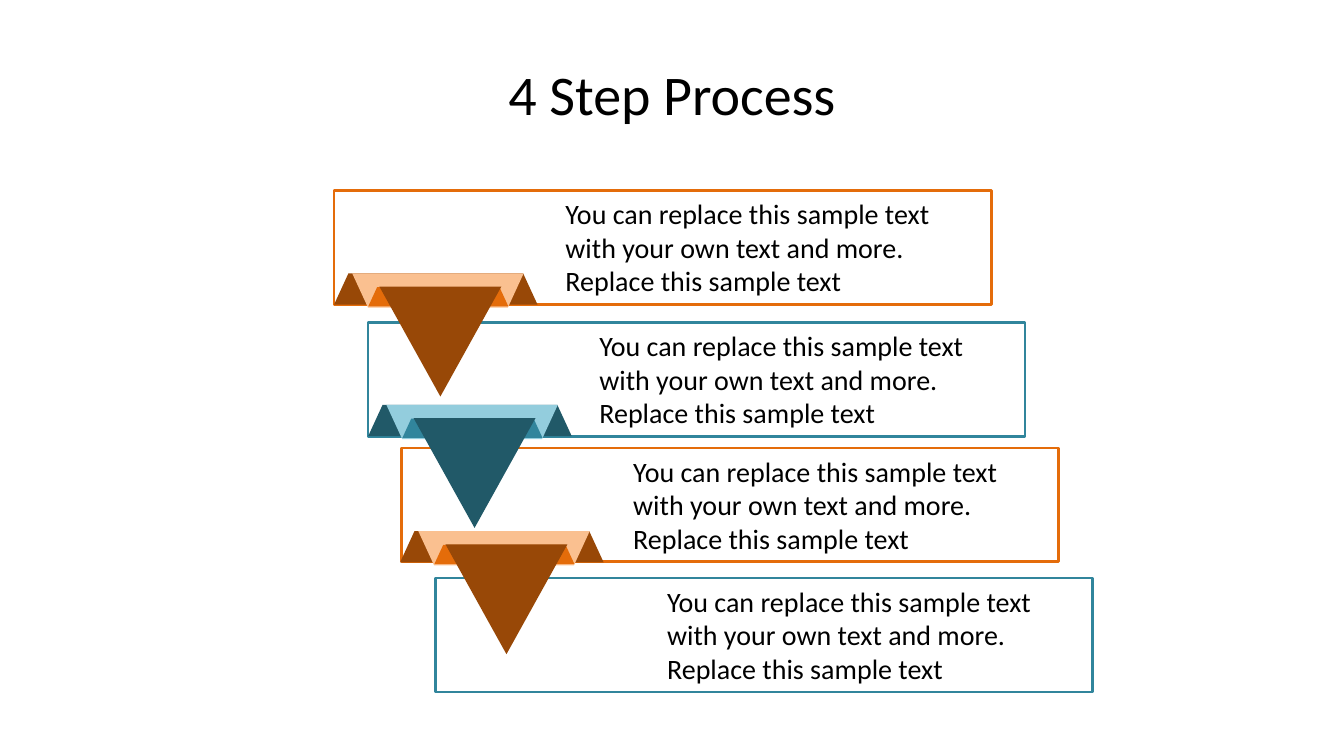
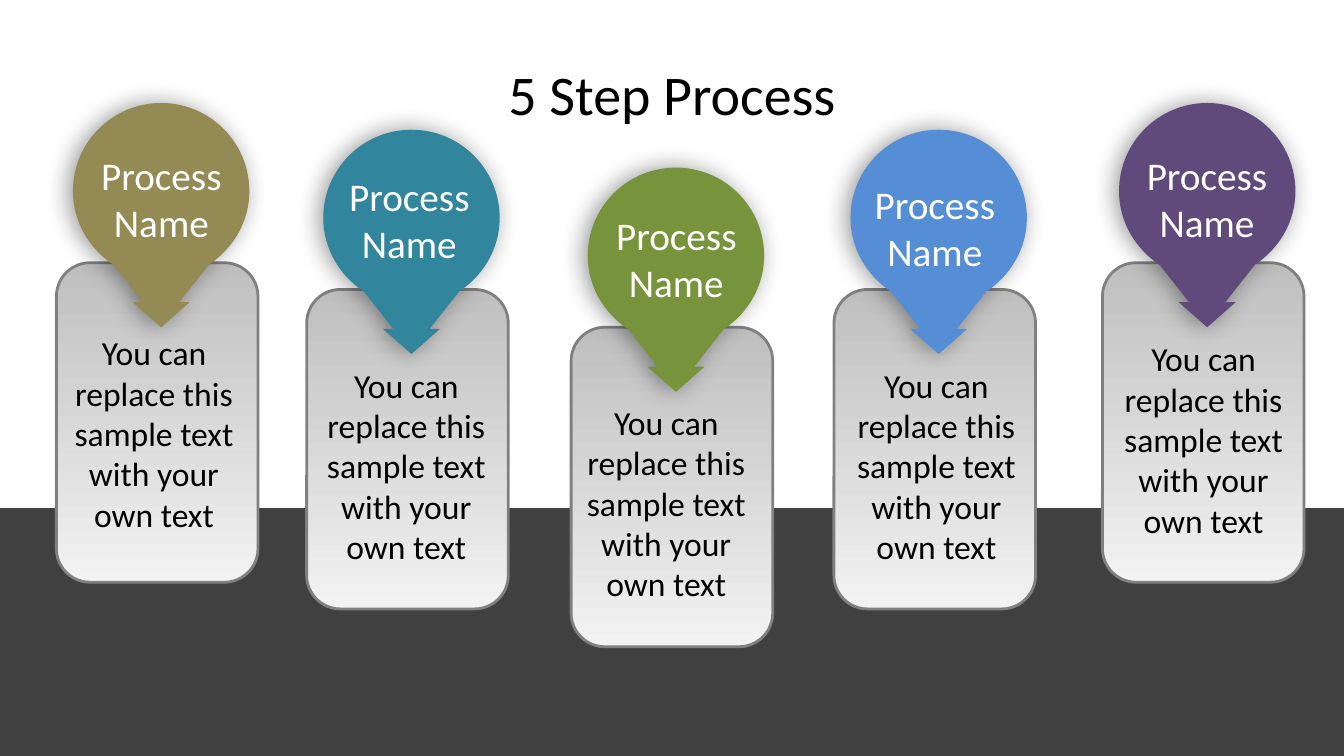
from lxml.etree import SubElement
from pptx import Presentation
from pptx.dml.color import RGBColor
from pptx.enum.shapes import MSO_SHAPE as Preset
from pptx.enum.text import MSO_ANCHOR as Anchor, MSO_AUTO_SIZE as AutoSize, PP_ALIGN as Align
from pptx.oxml.ns import qn
from pptx.util import Pt

COLORS = {
    "black": "000000", "white": "FFFFFF", "band": "404040",
    "card_top": "BFBFBF", "card_bottom": "F2F2F2", "card_line": "808080",
    "orange": "E46C0A", "orange_dark": "984807", "orange_light": "FAC090",
    "teal": "31859C", "teal_dark": "215968", "teal_light": "93CDDD",
    "khaki": "948A54", "green": "77933C", "blue": "558ED5", "purple": "604A7B",
}
FONT = "Calibri"
SLIDE_WIDTH, SLIDE_HEIGHT = 960, 540

STEP_TEXT = "You can replace this sample text with your own text and more. Replace this sample text"
STEP_TOPS = [136.1, 230.2, 320, 412.9]
STEP_HUES = ["orange", "teal", "orange", "teal"]
STEP_LEFT, STEP_SHIFT, STEP_SIZE = 238.6, 24.2, (469.4, 81.4)
RIBBONS = [(285.8, 379.4, "orange"), (238.6, 195.3, "orange"), (263, 289.2, "teal")]
RIBBON_PARTS = [
    (Preset.TRAPEZOID, (0, 0, 145.4, 22.3), "_dark", 0),
    (Preset.TRAPEZOID, (13, 0, 122.4, 24.5), "_light", 180),
    (Preset.TRAPEZOID, (24.5, 9.8, 100, 13.7), "", 0),
    (Preset.ISOSCELES_TRIANGLE, (32.4, 9.4, 87.1, 78.5), "_dark", 180),
]
TRAPEZOID_SLANT = 0.461

CARD_TEXT = "You can replace this sample text with your own text"
CARD_NAME = "Process Name"
CARDS = [
    {"color": "khaki", "card": (40.3, 187.7), "text": (38, 233.7), "name": (55.2, 104.4)},
    {"color": "teal", "card": (219.1, 206.8), "text": (218.2, 257), "name": (232.3, 119.5)},
    {"color": "green", "card": (408, 233.8), "text": (403.9, 283.5), "name": (423, 147.1)},
    {"color": "blue", "card": (595.7, 206.8), "text": (596.9, 257), "name": (607.7, 125.3)},
    {"color": "purple", "card": (787.5, 187.7), "text": (787.7, 238), "name": (802.1, 104.4)},
]
CARD_SIZE, CARD_TEXT_SIZE, CARD_NAME_SIZE = (144, 228.2), (144, 152.6), (120.2, 74.9)
PIN_OFFSET = (74.8, -51.1)
PIN_OUTLINE = [
    [(0, 97.2)],
    [(20.4, 79.2)],
    [(13, 79.2)],
    [(34, 52.6)],
    [(51.2, 41.2), (63, 22.1), (63, 0)],
    [(63, -34.8), (34.8, -63), (0, -63)],
    [(-34.8, -63), (-63, -34.8), (-63, 0)],
    [(-63, 22.1), (-51.2, 41.2), (-34, 52.6)],
    [(-13, 79.2)],
    [(-20.4, 79.2)],
]
PIN_REACH = 63
BAND_TOP = 362.9


def rgb(name):
    return RGBColor.from_string(COLORS[name])


def place(*lengths):
    return [Pt(round(length, 2)) for length in lengths]


def paint(shape, fill, line=None):
    shape.shadow.inherit = False
    if fill:
        shape.fill.solid()
        shape.fill.fore_color.rgb = rgb(fill)
    if line:
        shape.line.color.rgb = rgb(line)
        shape.line.width = Pt(2)
    else:
        shape.line.fill.background()


def add_preset(shapes, preset, box, fill, line=None):
    shape = shapes.add_shape(preset, *place(*box))
    paint(shape, fill, line)
    return shape


def add_text(shapes, box, text, size, color="black", align=Align.LEFT, anchor=Anchor.TOP,
             auto_size=AutoSize.SHAPE_TO_FIT_TEXT):
    frame = shapes.add_textbox(*place(*box)).text_frame
    frame.word_wrap = True
    frame.auto_size = auto_size
    frame.vertical_anchor = anchor
    paragraph = frame.paragraphs[0]
    paragraph.text = text
    paragraph.alignment = align
    paragraph.font.name = FONT
    paragraph.font.size = Pt(size)
    paragraph.font.color.rgb = rgb(color)


def add_title(slide, text):
    add_text(slide.shapes, (48, 21.6, 864, 90), text, 40, align=Align.CENTER,
             anchor=Anchor.MIDDLE, auto_size=AutoSize.NONE)


def add_soft_shadow(shape):
    effects = shape._element.spPr.find(qn("a:effectLst"))
    shadow = SubElement(effects, qn("a:outerShdw"), blurRad=str(Pt(17)), dist=str(Pt(3)),
                        dir="10800000", algn="t", rotWithShape="0")
    color = SubElement(shadow, qn("a:srgbClr"), val=COLORS["black"])
    SubElement(color, qn("a:alpha"), val="40000")


def add_step(slide, left, top, hue):
    group = slide.shapes.add_group_shape().shapes
    add_preset(group, Preset.RECTANGLE, (left, top, *STEP_SIZE), "white", hue)
    add_text(group, (left + 158.2, top + 0.9, 311, 80), STEP_TEXT, 20)


def add_ribbon(slide, left, top, hue):
    for preset, (x, y, width, height), shade, rotation in RIBBON_PARTS:
        part = add_preset(slide.shapes, preset, (left + x, top + y, width, height), hue + shade)
        part.rotation = rotation
        if preset == Preset.TRAPEZOID:
            part.adjustments[0] = TRAPEZOID_SLANT


def round_corners(pin):
    outline = pin._element.spPr.find(".//" + qn("a:path"))
    for segment, points in zip(list(outline), PIN_OUTLINE):
        if len(points) == 1:
            continue
        curve = SubElement(outline, qn("a:cubicBezTo"))
        for x, y in points:
            across, down = place(x + PIN_REACH, y + PIN_REACH)
            SubElement(curve, qn("a:pt"), x=str(across), y=str(down))
        outline.replace(segment, curve)


def add_pin(shapes, center_x, center_y, color):
    corners = [place(center_x + points[-1][0], center_y + points[-1][1])
               for points in PIN_OUTLINE]
    builder = shapes.build_freeform(*corners[0])
    builder.add_line_segments(corners[1:], close=True)
    pin = builder.convert_to_shape()
    round_corners(pin)
    paint(pin, color)
    add_soft_shadow(pin)


def add_card(slide, card):
    group = slide.shapes.add_group_shape().shapes
    left, top = card["card"]
    panel = add_preset(group, Preset.ROUNDED_RECTANGLE, (left, top, *CARD_SIZE), None, "card_line")
    panel.fill.gradient()
    panel.fill.gradient_angle = 270
    for stop, position, color in zip(panel.fill.gradient_stops, (0, 1), ("card_top", "card_bottom")):
        stop.position = position
        stop.color.rgb = rgb(color)
    add_pin(group, left + PIN_OFFSET[0], top + PIN_OFFSET[1], card["color"])
    add_text(group, (*card["text"], *CARD_TEXT_SIZE), CARD_TEXT, 24, align=Align.CENTER)
    add_text(group, (*card["name"], *CARD_NAME_SIZE), CARD_NAME, 28, "white", Align.CENTER)


def build_four_steps(slide):
    for index in reversed(range(len(STEP_TOPS))):
        add_step(slide, STEP_LEFT + index * STEP_SHIFT, STEP_TOPS[index], STEP_HUES[index])
    add_title(slide, "4 Step Process")
    for ribbon in RIBBONS:
        add_ribbon(slide, *ribbon)


def build_five_steps(slide):
    add_preset(slide.shapes, Preset.RECTANGLE,
               (0, BAND_TOP, SLIDE_WIDTH, SLIDE_HEIGHT - BAND_TOP), "band")
    add_title(slide, "5 Step Process")
    for card in CARDS:
        add_card(slide, card)


def main():
    presentation = Presentation()
    presentation.slide_width, presentation.slide_height = Pt(SLIDE_WIDTH), Pt(SLIDE_HEIGHT)
    for build in (build_four_steps, build_five_steps):
        build(presentation.slides.add_slide(presentation.slide_layouts[6]))
    presentation.save("out.pptx")


if __name__ == "__main__":
    main()
